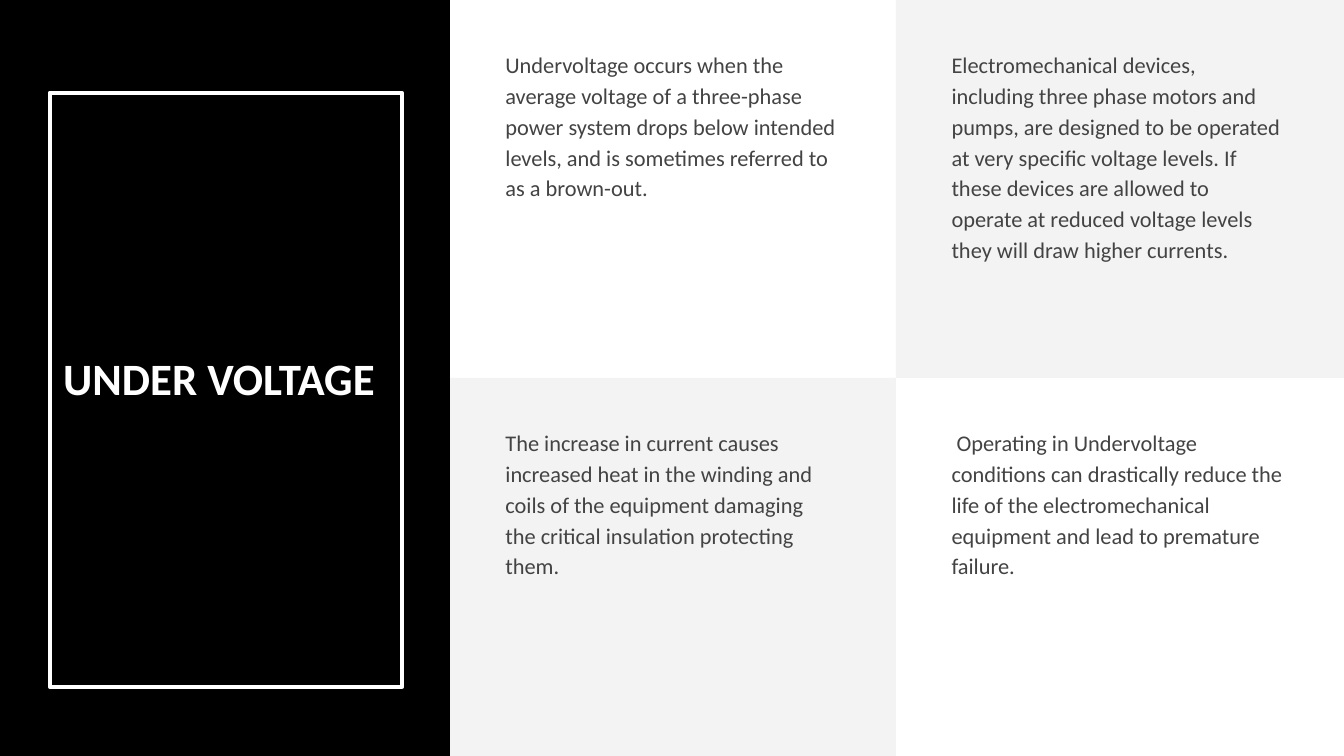
from dataclasses import dataclass
from typing import Optional

from pptx import Presentation
from pptx.dml.color import RGBColor
from pptx.enum.shapes import MSO_SHAPE
from pptx.enum.text import MSO_ANCHOR, PP_ALIGN
from pptx.shapes.autoshape import Shape
from pptx.slide import Slide
from pptx.util import Inches, Pt


@dataclass(frozen=True)
class Theme:
    font: str = "Calibri"
    black: RGBColor = RGBColor(0x00, 0x00, 0x00)
    white: RGBColor = RGBColor(0xFF, 0xFF, 0xFF)
    tint: RGBColor = RGBColor(0xF3, 0xF3, 0xF3)
    ink: RGBColor = RGBColor(0x43, 0x43, 0x43)
    title_size: float = 24
    body_size: float = 12
    border: float = 2.25


@dataclass(frozen=True)
class Box:
    left: float
    top: float
    width: float
    height: float

    def inches(self) -> tuple:
        return tuple(Inches(v) for v in (self.left, self.top, self.width, self.height))


@dataclass(frozen=True)
class Note:
    col: int
    row: int
    text: str


THEME = Theme()
WIDTH = 10
HEIGHT = WIDTH * 9 / 16
COL, ROW = WIDTH / 3, HEIGHT / 2
NOTE_LEFT, NOTE_TOP = 0.37, 0.31
NOTE_WIDTH, NOTE_HEIGHT = 2.61, 1.86
NOTE_PITCH = 3.32

NOTES = [
    Note(1, 0, "Undervoltage occurs when the average voltage of a three-phase power "
               "system drops below intended levels, and is sometimes referred to as "
               "a brown-out. "),
    Note(2, 0, "Electromechanical devices, including three phase motors and pumps, are "
               "designed to be operated at very specific voltage levels. If these "
               "devices are allowed to operate at reduced voltage levels they will "
               "draw higher currents. "),
    Note(1, 1, "The increase in current causes increased heat in the winding and coils "
               "of the equipment damaging the critical insulation protecting them."),
    Note(2, 1, " Operating in Undervoltage conditions can drastically reduce the life "
               "of the electromechanical equipment and lead to premature failure."),
]


def add_rect(s: Slide, box: Box, fill: Optional[RGBColor] = None,
             line: Optional[RGBColor] = None) -> Shape:
    sp = s.shapes.add_shape(MSO_SHAPE.RECTANGLE, *box.inches())
    sp.shadow.inherit = False
    if fill is None:
        sp.fill.background()
    else:
        sp.fill.solid()
        sp.fill.fore_color.rgb = fill
    if line is None:
        sp.line.fill.background()
    else:
        sp.line.color.rgb = line
        sp.line.width = Pt(THEME.border)
    return sp


def write(sp: Shape, text: str, size: float, color: RGBColor, inset_x: float,
          inset_y: float, bold: bool = False, align: PP_ALIGN = PP_ALIGN.LEFT,
          anchor: MSO_ANCHOR = MSO_ANCHOR.TOP, spacing: float = 1.0) -> None:
    tf = sp.text_frame
    tf.word_wrap = True
    tf.vertical_anchor = anchor
    tf.margin_left = tf.margin_right = Inches(inset_x)
    tf.margin_top = tf.margin_bottom = Inches(inset_y)
    p = tf.paragraphs[0]
    p.alignment = align
    p.line_spacing = spacing
    r = p.add_run()
    r.text = text
    r.font.name = THEME.font
    r.font.size = Pt(size)
    r.font.bold = bold
    r.font.color.rgb = color


def add_note(s: Slide, note: Note) -> None:
    box = Box(note.col * NOTE_PITCH + NOTE_LEFT, note.row * ROW + NOTE_TOP,
              NOTE_WIDTH, NOTE_HEIGHT)
    sp = s.shapes.add_textbox(*box.inches())
    write(sp, note.text, THEME.body_size, THEME.ink, 0.07, 0.04, spacing=1.15)


def main() -> None:
    prs = Presentation()
    prs.slide_width, prs.slide_height = Inches(WIDTH), Inches(HEIGHT)
    s = prs.slides.add_slide(prs.slide_layouts[6])

    for col, row in ((1, 1), (2, 0)):
        add_rect(s, Box(col * COL, row * ROW, COL, ROW), THEME.tint)

    title = add_rect(s, Box(0, 0, COL, HEIGHT), THEME.black, THEME.black)
    write(title, "UNDER VOLTAGE ", THEME.title_size, THEME.white, 0.15, 0.15,
          bold=True, align=PP_ALIGN.CENTER, anchor=MSO_ANCHOR.MIDDLE)

    for note in NOTES:
        add_note(s, note)

    add_rect(s, Box(0.37, 0.69, 2.62, 4.42), line=THEME.white)
    prs.save("out.pptx")


if __name__ == "__main__":
    main()
